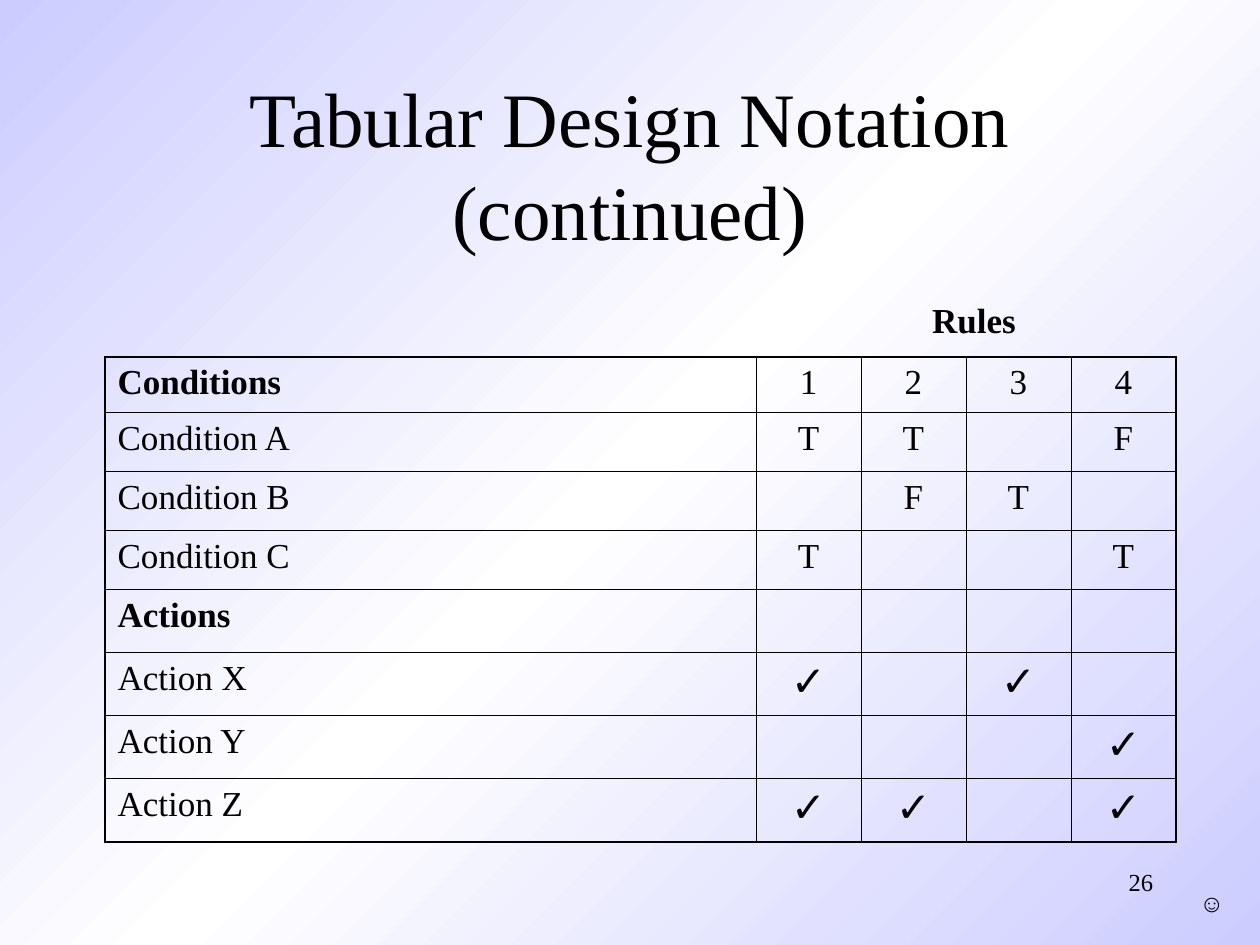
from copy import deepcopy
from dataclasses import dataclass

from lxml.etree import SubElement
from pptx import Presentation
from pptx.dml.color import RGBColor as RGB
from pptx.enum.text import MSO_ANCHOR as Anchor, MSO_AUTO_SIZE as AutoSize, PP_ALIGN as Align
from pptx.oxml.ns import qn
from pptx.util import Inches, Pt


@dataclass(frozen=True)
class Theme:
    ink: str = "000000"
    gradient: tuple = ("CCCCFF", "FFFFFF", "CCCCFF")
    serif: str = "Times New Roman"
    symbol: str = "Arial"
    title: int = 44
    mark: int = 24
    body: int = 20
    small: int = 14
    thin: float = 0.45
    thick: float = 1.08


CHECK = "✓"
UNIT = 5 / 6  # left margin and width of a rule column
TABLE_WIDTH = 8.5
COL_WIDTHS = [TABLE_WIDTH - 4 * UNIT] + [UNIT] * 4
ROW_HEIGHTS = [0.44] * 4 + [0.5] * 4
SECTIONS = ("Conditions", "Actions")
DECISIONS = [
    ["Conditions", "1", "2", "3", "4"],
    ["Condition A", "T", "T", "", "F"],
    ["Condition B", "", "F", "T", ""],
    ["Condition C", "T", "", "", "T"],
    ["Actions", "", "", "", ""],
    ["Action X", CHECK, "", CHECK, ""],
    ["Action Y", "", "", "", CHECK],
    ["Action Z", CHECK, CHECK, "", CHECK],
]


class SlideBuilder:
    def __init__(self, prs, theme):
        self.theme = theme
        self.slide = prs.slides.add_slide(prs.slide_layouts[5])

    def style(self, p, size, font=None, bold=False, align=Align.LEFT):
        p.alignment = align
        p.font.name = font or self.theme.serif
        p.font.size = Pt(size)
        p.font.bold = bold
        p.font.color.rgb = RGB.from_string(self.theme.ink)

    def background(self):
        fill = self.slide.background.fill
        fill.gradient()
        fill.gradient_angle = 135
        stops = next(self.slide.element.iter(qn("a:gsLst")))
        middle = deepcopy(stops[0])
        middle.set("pos", "50000")
        stops.insert(1, middle)
        for stop, color in zip(fill.gradient_stops, self.theme.gradient):
            stop.color.rgb = RGB.from_string(color)

    def title(self, text, box):
        sp = self.slide.shapes.title
        sp.left, sp.top, sp.width, sp.height = map(Inches, box)
        tf = sp.text_frame
        tf.text = text
        tf.auto_size = AutoSize.NONE
        tf.vertical_anchor = Anchor.MIDDLE
        self.style(tf.paragraphs[0], self.theme.title, align=Align.CENTER)

    def label(self, text, box, size, wrap=False, **style):
        tf = self.slide.shapes.add_textbox(*map(Inches, box)).text_frame
        tf.word_wrap = wrap
        tf.auto_size = AutoSize.NONE if wrap else AutoSize.SHAPE_TO_FIT_TEXT
        tf.text = text
        self.style(tf.paragraphs[0], size, **style)

    def borders(self, cell, widths):
        tc_pr = cell._tc.get_or_add_tcPr()
        for side, width in widths.items():
            ln = SubElement(tc_pr, qn(f"a:ln{side}"), w=str(Pt(width)))
            fill = SubElement(ln, qn("a:solidFill"))
            SubElement(fill, qn("a:srgbClr"), val=self.theme.ink)

    def cell_text(self, cell, text, first):
        theme = self.theme
        cell.text = text
        p = cell.text_frame.paragraphs[0]
        align = Align.LEFT if first else Align.CENTER
        if text == CHECK:
            self.style(p, theme.mark, theme.symbol, True, align)
        else:
            size = theme.body if text else theme.mark
            self.style(p, size, bold=text in SECTIONS, align=align)
        p.space_before = Pt(6 if text == CHECK else 5)

    def table(self, rows, left, top, col_widths, row_heights):
        n_rows, n_cols = len(rows), len(col_widths)
        table = self.slide.shapes.add_table(
            n_rows, n_cols, Inches(left), Inches(top),
            Inches(sum(col_widths)), Inches(sum(row_heights))).table
        table.first_row = table.horz_banding = False
        for column, width in zip(table.columns, col_widths):
            column.width = Inches(width)
        for row, height in zip(table.rows, row_heights):
            row.height = Inches(height)

        # Thick frame outside, thin rules inside
        thin, thick = self.theme.thin, self.theme.thick
        for i, row in enumerate(rows):
            for j, text in enumerate(row):
                cell = table.cell(i, j)
                self.cell_text(cell, text, first=j == 0)
                self.borders(cell, {
                    "L": thick if j == 0 else thin,
                    "R": thick if j == n_cols - 1 else thin,
                    "T": thick if i == 0 else thin,
                    "B": thick if i == n_rows - 1 else thin,
                })
                cell.fill.background()


def main():
    prs = Presentation()
    prs.slide_width, prs.slide_height = Inches(10), Inches(7.5)
    theme = Theme()
    s = SlideBuilder(prs, theme)

    # Background and title
    s.background()
    s.title("Tabular Design Notation (continued)", (0.75, 0.67, 8.5, 1.25))

    # Decision table with its column heading
    s.table(DECISIONS, UNIT, 2 + UNIT, COL_WIDTHS, ROW_HEIGHTS)
    s.label("Rules", (7.3, 2.32, 0.9, 0.44), theme.body, bold=True)

    # Corner symbol and page number
    s.label("☺", (9.42, 7, 0.36, 0.34), theme.small, font=theme.symbol, align=Align.CENTER)
    s.label("26", (7.17, 6.83, 2.08, 0.5), theme.small, wrap=True, align=Align.RIGHT)

    prs.save("out.pptx")


if __name__ == "__main__":
    main()
